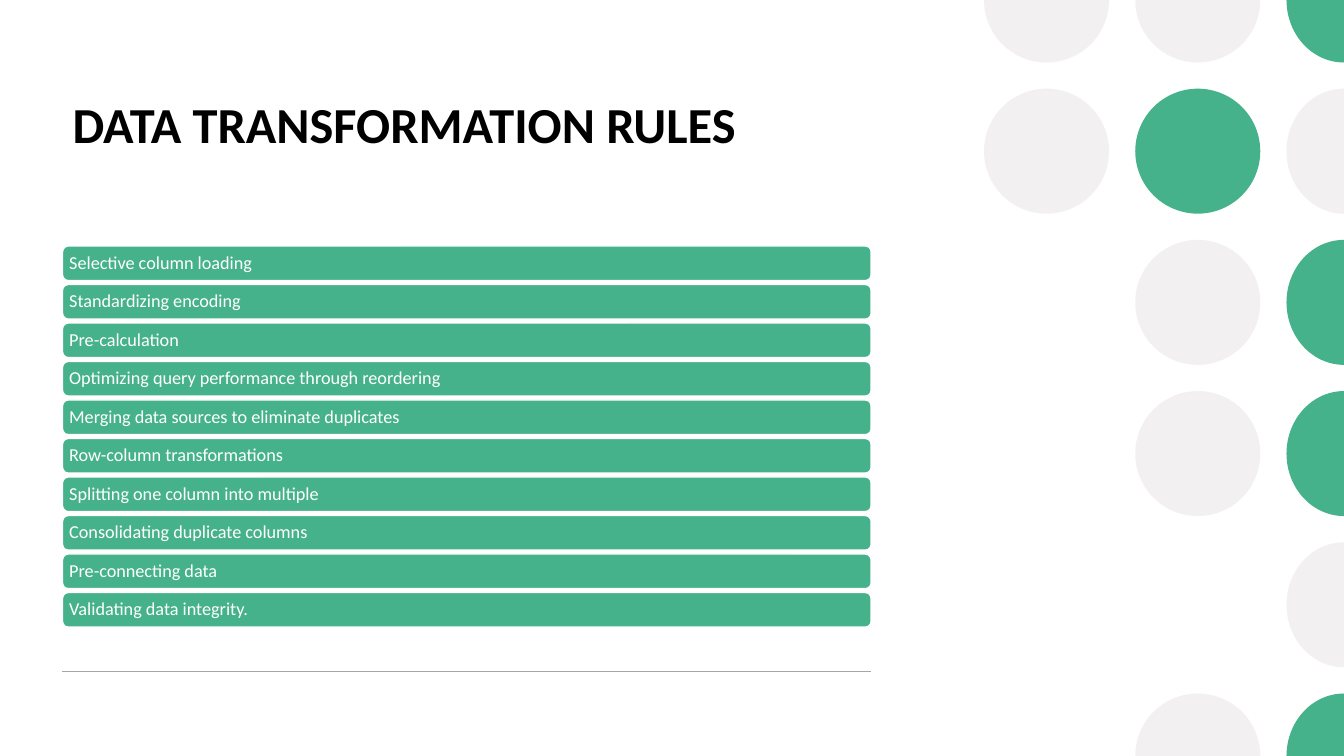
import math

import pptx
import pptx.dml.color
import pptx.enum.shapes
import pptx.enum.text
import pptx.oxml.ns
import pptx.util
from lxml import etree

Inches = pptx.util.Inches
Pt = pptx.util.Pt
RGBColor = pptx.dml.color.RGBColor
MSO_SHAPE = pptx.enum.shapes.MSO_SHAPE
MSO_ANCHOR = pptx.enum.text.MSO_ANCHOR
PP_ALIGN = pptx.enum.text.PP_ALIGN
qn = pptx.oxml.ns.qn

GREEN = RGBColor(0x46, 0xB2, 0x8B)
PALE = RGBColor(0xF3, 0xF0, 0xF1)
GRAY = RGBColor(0xA6, 0xA6, 0xA6)
BLACK = RGBColor(0, 0, 0)
WHITE = RGBColor(0xFF, 0xFF, 0xFF)

FONT = "Calibri"
SLIDE_WIDTH, SLIDE_HEIGHT = 13.33, 7.5
LEFT, CONTENT_WIDTH = 0.62, 8.02

RULES = [
    "Selective column loading",
    "Standardizing encoding",
    "Pre-calculation",
    "Optimizing query performance through reordering",
    "Merging data sources to eliminate duplicates",
    "Row-column transformations",
    "Splitting one column into multiple",
    "Consolidating duplicate columns",
    "Pre-connecting data",
    "Validating data integrity.",
]

# One string per row of dots: G green, P pale, . empty
DOT_ROWS = ["PPG", "PGP", ".PG", ".PG", "..P", ".PG"]


def format_text(paragraph, size, color, bold=False):
    for run in paragraph.runs:
        run.font.name = FONT
        run.font.size = Pt(size)
        run.font.bold = bold
        run.font.color.rgb = color


def build_sector(slide, center_x, center_y, radius_x, radius_y, quarters):
    """Build a sector from consecutive quarter arcs, given by start angle."""
    corners = [
        (round(center_x + radius_x * math.cos(math.radians(angle))),
         round(center_y + radius_y * math.sin(math.radians(angle))))
        for angle in quarters + [quarters[-1] + 90]
    ]
    builder = slide.shapes.build_freeform(*corners[0])
    builder.add_line_segments(corners[1:] + [(center_x, center_y)], close=True)
    sector = builder.convert_to_shape()
    # Bend the outer edges into arcs
    edges = sector._element.xpath(".//a:lnTo")
    for edge, angle in zip(edges, quarters):
        arc = etree.Element(qn("a:arcTo"), wR=str(radius_x), hR=str(radius_y),
                            stAng=str(angle * 60000), swAng=str(90 * 60000))
        edge.getparent().replace(edge, arc)
    return sector


def add_dot(slide, left, top, diameter, color):
    """Draw a circle, or the sector of it that lies on the slide."""
    cut_top = top < 0
    cut_right = left + diameter > SLIDE_WIDTH
    cut_bottom = top + diameter > SLIDE_HEIGHT
    # Quarters run clockwise from the right: 0 and 90 below, 180 and 270 above
    hidden = {0: cut_right or cut_bottom, 90: cut_bottom,
              180: cut_top, 270: cut_right or cut_top}
    quarters = [angle for angle in hidden if not hidden[angle]]
    if len(quarters) == 4:
        dot = slide.shapes.add_shape(
            MSO_SHAPE.OVAL, Inches(left), Inches(top), Inches(diameter), Inches(diameter))
    else:
        radius = diameter / 2
        center_x = min(left + radius, SLIDE_WIDTH)
        dot = build_sector(slide, Inches(center_x), Inches(top + radius),
                           Inches(center_x - left), Inches(radius), quarters)
    dot.shadow.inherit = False
    dot.fill.solid()
    dot.fill.fore_color.rgb = color
    dot.line.fill.background()


def add_dot_pattern(slide, left, top, pitch, diameter):
    colors = {"G": GREEN, "P": PALE}
    for row, marks in enumerate(DOT_ROWS):
        for column, mark in enumerate(marks):
            if mark in colors:
                add_dot(slide, left + column * pitch, top + row * pitch,
                        diameter, colors[mark])


def add_title(slide, left, top, width, height):
    title = slide.shapes.title
    title.left, title.top = Inches(left), Inches(top)
    title.width, title.height = Inches(width), Inches(height)
    text_frame = title.text_frame
    text_frame.text = "DATA TRANSFORMATION RULES"
    text_frame.vertical_anchor = MSO_ANCHOR.TOP
    text_frame.margin_top = Inches(0.08)
    paragraph = text_frame.paragraphs[0]
    paragraph.alignment = PP_ALIGN.LEFT
    format_text(paragraph, 36, BLACK, bold=True)


def add_rule_list(slide, left, top, width, height):
    """Stack one bar per rule; bars fill 90% of their row."""
    pitch = height / len(RULES)
    for index, rule in enumerate(RULES):
        bar = slide.shapes.add_shape(
            MSO_SHAPE.ROUNDED_RECTANGLE, Inches(left), Inches(top + index * pitch),
            Inches(width), Inches(pitch * 0.9))
        bar.shadow.inherit = False
        bar.fill.solid()
        bar.fill.fore_color.rgb = GREEN
        bar.line.color.rgb = WHITE
        bar.line.width = Pt(1)
        text_frame = bar.text_frame
        text_frame.text = rule
        text_frame.word_wrap = True
        text_frame.vertical_anchor = MSO_ANCHOR.MIDDLE
        text_frame.margin_left = text_frame.margin_right = Inches(0.05)
        text_frame.margin_top = text_frame.margin_bottom = Inches(0.05)
        paragraph = text_frame.paragraphs[0]
        paragraph.alignment = PP_ALIGN.LEFT
        paragraph.line_spacing = 0.9
        format_text(paragraph, 13, WHITE)


def add_divider(slide, left, top, width):
    divider = slide.shapes.add_connector(
        pptx.enum.shapes.MSO_CONNECTOR.STRAIGHT,
        Inches(left), Inches(top), Inches(left + width), Inches(top))
    divider.line.color.rgb = GRAY
    divider.line.width = Pt(1)
    etree.SubElement(divider._element.spPr, qn("a:effectLst"))


def main():
    presentation = pptx.Presentation()
    presentation.slide_width = Inches(SLIDE_WIDTH)
    presentation.slide_height = Inches(SLIDE_HEIGHT)
    slide = presentation.slides.add_slide(presentation.slide_layouts[5])

    add_dot_pattern(slide, 9.76, -0.62, 1.5, 1.24)
    add_divider(slide, LEFT, 6.66, CONTENT_WIDTH)
    add_title(slide, LEFT, 0.84, 9.21, 1.39)
    add_rule_list(slide, LEFT, 2.44, CONTENT_WIDTH, 3.82)

    presentation.save("out.pptx")


if __name__ == "__main__":
    main()
